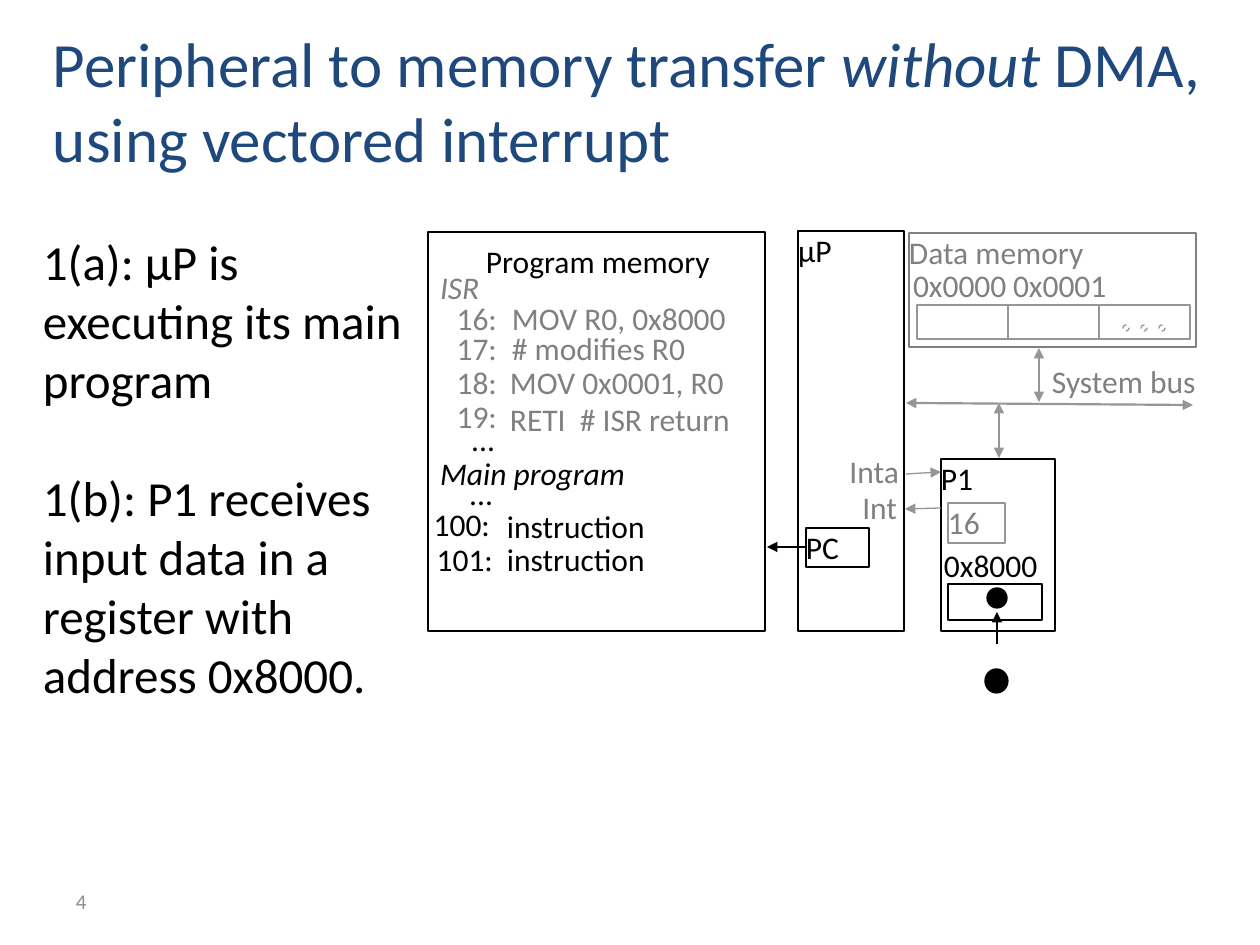
from lxml.etree import SubElement
from pptx import Presentation
from pptx.dml.color import RGBColor
from pptx.enum.dml import MSO_LINE
from pptx.enum.shapes import MSO_CONNECTOR, MSO_SHAPE
from pptx.enum.text import MSO_ANCHOR, MSO_AUTO_SIZE, PP_ALIGN
from pptx.oxml.ns import qn
from pptx.util import Pt

PX = 914400 / 126
BLACK, GRAY, SILVER, NAVY = "000000", "808080", "969696", "1F497D"
LEFT, RIGHT = PP_ALIGN.LEFT, PP_ALIGN.RIGHT
rgb = RGBColor.from_string


def place(sp, box):
    sp.left, sp.top, sp.width, sp.height = [round(v * PX) for v in box]


def write(sp, paragraphs, size, color, align=LEFT, anchor=MSO_ANCHOR.TOP, inset=(0, 0)):
    tf = sp.text_frame
    tf.word_wrap = True
    tf.auto_size = MSO_AUTO_SIZE.NONE
    tf.vertical_anchor = anchor
    tf.margin_left = tf.margin_right = round(inset[0] * PX)
    tf.margin_top = tf.margin_bottom = round(inset[1] * PX)
    for i, runs in enumerate(paragraphs):
        p = tf.add_paragraph() if i else tf.paragraphs[0]
        p.alignment = align
        p.space_before = Pt(34 if i else 0)
        for text, italic in runs:
            r = p.add_run()
            r.text = text
            r.font.name = "Calibri"
            r.font.size = Pt(size)
            r.font.italic = italic
            r.font.color.rgb = rgb(color)


prs = Presentation()
prs.slide_width = round(1260 * PX)
prs.slide_height = round(945 * PX)
s = prs.slides.add_slide(prs.slide_layouts[5])

title = s.shapes.title
place(title, (53, 21, 1155, 158))
write(title, [[("Peripheral to memory transfer ", False), ("without", True),
               (" DMA, using vectored interrupt", False)]],
      36, NAVY, anchor=MSO_ANCHOR.MIDDLE, inset=(0, 6))

steps = s.shapes.add_textbox(0, 0, 0, 0)
place(steps, (43, 232, 367, 480))
write(steps, [[("1(a): μP is executing its main program", False)],
              [("1(b): P1 receives input data in a register with address 0x8000.", False)]],
      28, BLACK)

number = s.shapes.add_textbox(0, 0, 0, 0)
place(number, (63, 876, 294, 50))
write(number, [[("4", False)]], 12, "8C8C8C", anchor=MSO_ANCHOR.MIDDLE, inset=(13, 6))

boxes = [
    ((428, 232, 337, 399), BLACK, "", BLACK),
    ((798, 231, 106, 400), BLACK, "μP", BLACK),
    ((941, 459, 114, 172), BLACK, "P1", BLACK),
    ((948, 584, 94, 36), BLACK, "", BLACK),
    ((806, 528, 63, 39), BLACK, "PC", BLACK),
    ((909, 233, 287, 114), GRAY, "Data memory", GRAY),
    ((948, 503, 57, 40), SILVER, "16", GRAY),
]
boxes += [((917 + 91 * i, 305, 91, 34), SILVER, "", GRAY) for i in range(3)]
for box, line, text, color in boxes:
    sp = s.shapes.add_shape(MSO_SHAPE.RECTANGLE, 0, 0, 0, 0)
    place(sp, box)
    sp.shadow.inherit = False
    sp.fill.background()
    sp.line.color.rgb = rgb(line)
    sp.line.width = Pt(0.75)
    if text:
        write(sp, [[(text, False)]], 18, color)

dots = [((987, 588, 20, 20), BLACK), ((985, 669, 23, 24), BLACK)]
dots += [((1123 + 18 * i, 325, 6, 6), SILVER) for i in range(3)]
for box, color in dots:
    sp = s.shapes.add_shape(MSO_SHAPE.OVAL, 0, 0, 0, 0)
    place(sp, box)
    sp.shadow.inherit = False
    sp.line.color.rgb = rgb(color)
    sp.line.width = Pt(0.75)
    if color == BLACK:
        sp.fill.solid()
        sp.fill.fore_color.rgb = rgb(color)
    else:
        sp.fill.background()
        sp.line.dash_style = MSO_LINE.DASH

arrows = [
    ((906, 403, 1193, 405), SILVER, 1.25, True),
    ((999, 403, 999, 458), SILVER, 1.25, True),
    ((1039, 348, 1039, 402), SILVER, 1.25, True),
    ((805, 547, 767, 547), BLACK, 1.25, False),
    ((997, 644, 997, 612), BLACK, 0.75, False),
    ((941, 508, 905, 509), SILVER, 0.75, False),
    ((906, 474, 941, 472), SILVER, 0.75, False),
]
for ends, color, width, both in arrows:
    cx = s.shapes.add_connector(MSO_CONNECTOR.STRAIGHT, *[round(v * PX) for v in ends])
    cx.line.color.rgb = rgb(color)
    cx.line.width = Pt(width)
    ln = cx.line._get_or_add_ln()
    for tag in ("a:headEnd", "a:tailEnd") if both else ("a:tailEnd",):
        SubElement(ln, qn(tag), type="triangle")
    SubElement(cx._element.spPr, qn("a:effectLst"))

labels = [
    ((486, 242, 231, 45), "Program memory", BLACK, LEFT, False),
    ((440, 268, 72, 48), "ISR", GRAY, LEFT, True),
    ((440, 454, 198, 47), "Main program", BLACK, LEFT, True),
    ((452, 420, 43, 35), "...", BLACK, RIGHT, False),
    ((450, 474, 43, 35), "...", BLACK, RIGHT, False),
    ((1052, 362, 150, 47), "System bus", GRAY, LEFT, False),
    ((944, 546, 98, 40), "0x8000", BLACK, LEFT, False),
    ((913, 266, 96, 34), "0x0000", GRAY, LEFT, False),
    ((1013, 266, 97, 34), "0x0001", GRAY, LEFT, False),
    ((847, 452, 52, 45), "Inta", GRAY, RIGHT, False),
    ((849, 488, 48, 45), "Int", GRAY, RIGHT, False),
]
code = [
    ("16:", 497, 299, "MOV R0, 0x8000", 512, 299, GRAY),
    ("17:", 497, 329, "# modifies R0", 512, 329, GRAY),
    ("18:", 497, 363, "MOV 0x0001, R0", 510, 363, GRAY),
    ("19:", 497, 397, "RETI  # ISR return", 510, 400, GRAY),
    ("100:", 490, 505, "instruction", 507, 507, BLACK),
    ("101:", 493, 540, "instruction", 507, 540, BLACK),
]
for address, right, y, text, x, text_y, color in code:
    labels.append(((right - 62, y, 62, 35), address, color, RIGHT, False))
    labels.append(((x, text_y, 250, 35), text, color, LEFT, False))
for box, text, color, align, italic in labels:
    sp = s.shapes.add_textbox(0, 0, 0, 0)
    place(sp, box)
    write(sp, [[(text, italic)]], 18, color, align)

prs.save("out.pptx")
